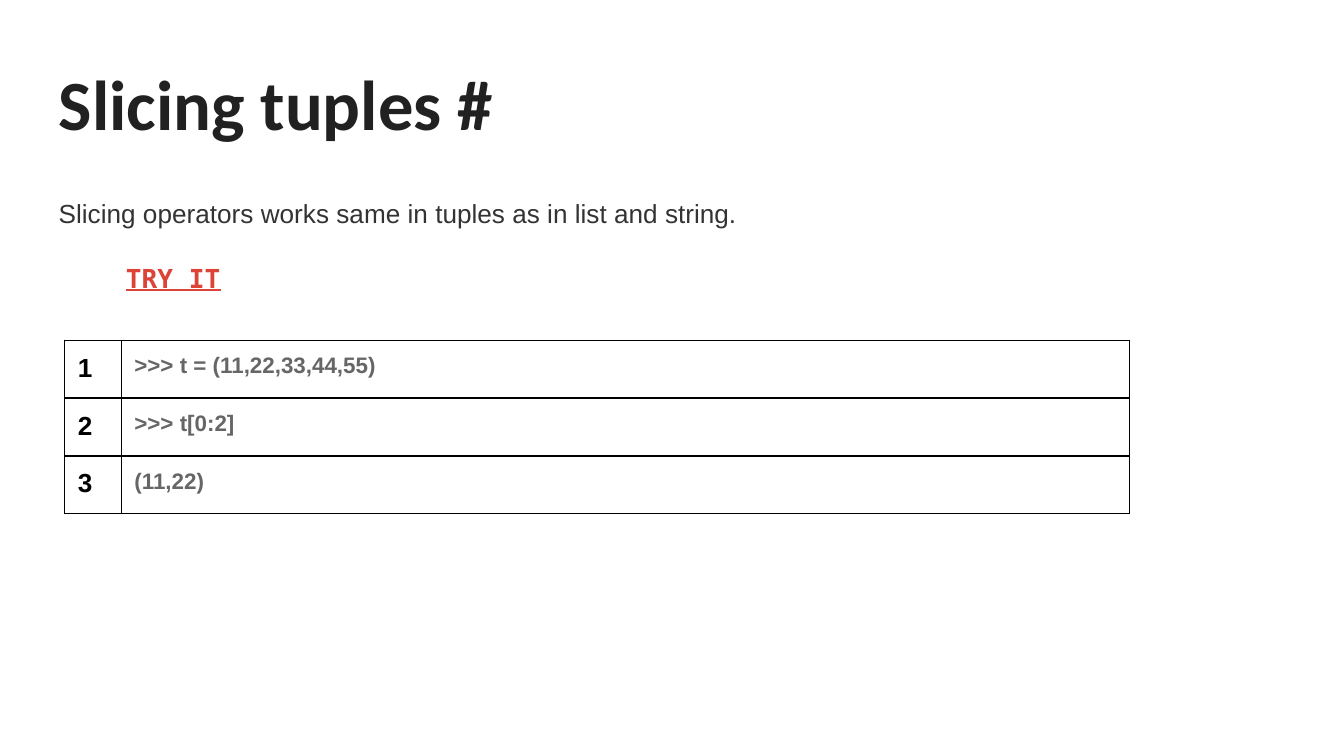
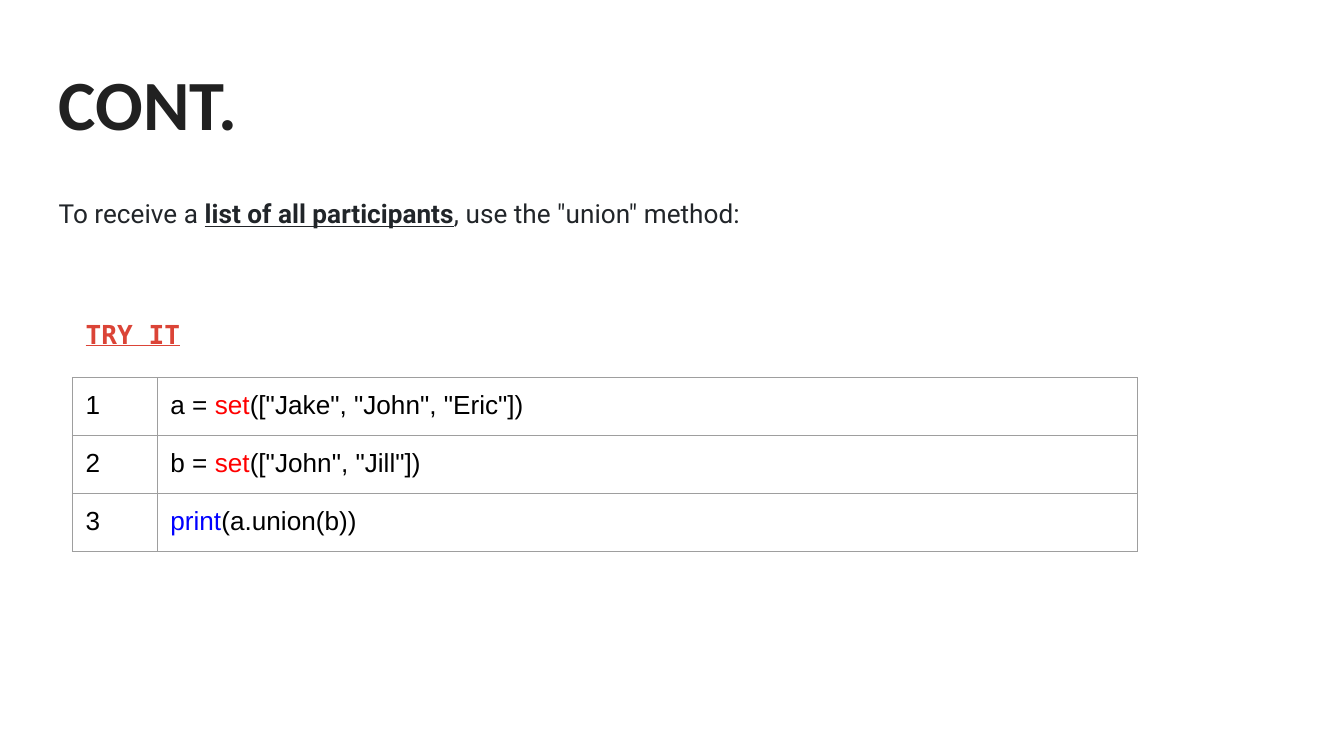
"""Build two slides on slicing tuples and joining sets in Python."""
import lxml.etree
import pptx
import pptx.dml.color
import pptx.enum.text
import pptx.oxml.ns
import pptx.util

Cm = pptx.util.Cm
Pt = pptx.util.Pt

COLORS = {
    "title": "212121",
    "tuple_text": "333333",
    "set_text": "212529",
    "try_it": "DB4437",
    "black": "000000",
    "prompt": "666666",
    "set_border": "9E9E9E",
    "builtin": "FF0000",
    "print": "0000FF",
}
LEFT, WIDTH = Cm(0.86), Cm(23.67)
BODY_TOP = Cm(3.4)
INSET = Cm(0.25)
ROW_HEIGHT = Cm(1.07)
TRY_IT = {"size": 14, "name": "DejaVu Sans Mono", "color": "try_it", "bold": True, "underline": True}


def style_font(font, size=None, name=None, color=None, bold=None, underline=None):
    """Apply the given properties to a paragraph or run font."""
    if size:
        font.size = Pt(size)
    if name:
        font.name = name
    if color:
        font.color.rgb = pptx.dml.color.RGBColor.from_string(COLORS[color])
    if bold is not None:
        font.bold = bold
    if underline is not None:
        font.underline = underline


def write(paragraph, parts, **style):
    """Write (text, overrides) parts into a paragraph with a common style."""
    style_font(paragraph.font, **style)
    for text, overrides in parts:
        run = paragraph.add_run()
        run.text = text
        if overrides:
            style_font(run.font, **overrides)


def set_margins(frame):
    """Give a text frame or a table cell equal margins."""
    frame.margin_left = frame.margin_right = INSET
    frame.margin_top = frame.margin_bottom = INSET


def add_titled_slide(deck, heading):
    """Add a title-only slide with the shared title style."""
    slide = deck.slides.add_slide(deck.slide_layouts[5])
    title = slide.shapes.title
    title.left, title.top, title.width, title.height = LEFT, Cm(0.81), WIDTH, Cm(2.24)
    frame = title.text_frame
    set_margins(frame)
    frame.auto_size = pptx.enum.text.MSO_AUTO_SIZE.NONE
    frame.vertical_anchor = pptx.enum.text.MSO_ANCHOR.MIDDLE
    frame.paragraphs[0].alignment = pptx.enum.text.PP_ALIGN.LEFT
    write(frame.paragraphs[0], [(heading, {})], size=37.8, name="Calibri", color="title", bold=True)
    return slide


def add_text(slide, left, top, width, height, parts, line_spacing=None, **style):
    """Add a wrapping text box with one paragraph and return its frame."""
    frame = slide.shapes.add_textbox(left, top, width, height).text_frame
    frame.word_wrap = True
    set_margins(frame)
    if line_spacing:
        frame.paragraphs[0].line_spacing = line_spacing
    write(frame.paragraphs[0], parts, **style)
    return frame


def add_borders(cell, color):
    """Draw a thin line on all four sides of a cell."""
    properties = cell._tc.get_or_add_tcPr()
    for position, side in enumerate(("lnL", "lnR", "lnT", "lnB")):
        line = lxml.etree.Element(pptx.oxml.ns.qn(f"a:{side}"), w=str(Pt(0.75)))
        fill = lxml.etree.SubElement(line, pptx.oxml.ns.qn("a:solidFill"))
        lxml.etree.SubElement(fill, pptx.oxml.ns.qn("a:srgbClr"), val=COLORS[color])
        properties.insert(position, line)


def add_listing(slide, left, top, widths, lines, border, number_style, code_style):
    """Add a table of numbered code lines."""
    listing = slide.shapes.add_table(
        len(lines), 2, left, top, sum(widths), ROW_HEIGHT * len(lines)
    ).table
    listing.first_row = listing.horz_banding = False
    for column, width in zip(listing.columns, widths):
        column.width = width
    for index, code in enumerate(lines):
        listing.rows[index].height = ROW_HEIGHT
        entries = (([(str(index + 1), {})], number_style), (code, code_style))
        for column, (parts, style) in enumerate(entries):
            cell = listing.cell(index, column)
            set_margins(cell)
            cell.fill.background()
            add_borders(cell, border)
            write(cell.text_frame.paragraphs[0], parts, name="Arial", **style)


def build_tuple_slide(deck):
    """Build the slide on slicing tuples."""
    slide = add_titled_slide(deck, "Slicing tuples #")
    body = add_text(
        slide, LEFT, BODY_TOP, WIDTH, Cm(1.37),
        [("Slicing operators works same in tuples as in list and string.", {})],
        line_spacing=1.15, size=14, name="Arial", color="tuple_text",
    )
    try_it = body.add_paragraph()
    try_it.space_before = Pt(18)
    indents = try_it._p.get_or_add_pPr()
    indents.set("marL", "0")
    indents.set("indent", str(Cm(1.27)))
    write(try_it, [("TRY IT", {})], **TRY_IT)
    session = [">>> t = (11,22,33,44,55)", ">>> t[0:2]", "(11,22)"]
    add_listing(
        slide, Cm(1.22), Cm(6.43), (Cm(1.07), Cm(19.05)),
        [[(line, {})] for line in session], "black",
        {"size": 14, "color": "black", "bold": True},
        {"size": 12, "color": "prompt", "bold": True},
    )


def build_union_slide(deck):
    """Build the slide on the union of sets."""
    slide = add_titled_slide(deck, "CONT.")
    add_text(
        slide, LEFT, BODY_TOP, WIDTH, Cm(1.65),
        [
            ("To receive a ", {}),
            ("list of all participants", {"bold": True, "underline": True}),
            (', use the "union" method:', {}),
        ],
        line_spacing=1.15, size=14, name="Roboto", color="set_text",
    )
    set_call = ("set", {"color": "builtin"})
    plain = {"size": 14, "color": "black"}
    listing_left = Cm(1.37)
    add_listing(
        slide, listing_left, Cm(7.14), (Cm(1.6), Cm(18.52)),
        [
            [("a = ", {}), set_call, ('(["Jake", "John", "Eric"])', {})],
            [("b = ", {}), set_call, ('(["John", "Jill"])', {})],
            [("print", {"color": "print"}), ("(a.union(b))", {})],
        ],
        "set_border", plain, plain,
    )
    add_text(slide, listing_left, Cm(5.77), Cm(8.33), Cm(1.12), [("TRY IT", {})], **TRY_IT)


def main():
    """Create the deck and save it."""
    deck = pptx.Presentation()
    deck.slide_width, deck.slide_height = Cm(25.4), Cm(14.29)
    build_tuple_slide(deck)
    build_union_slide(deck)
    deck.save("out.pptx")


if __name__ == "__main__":
    main()
